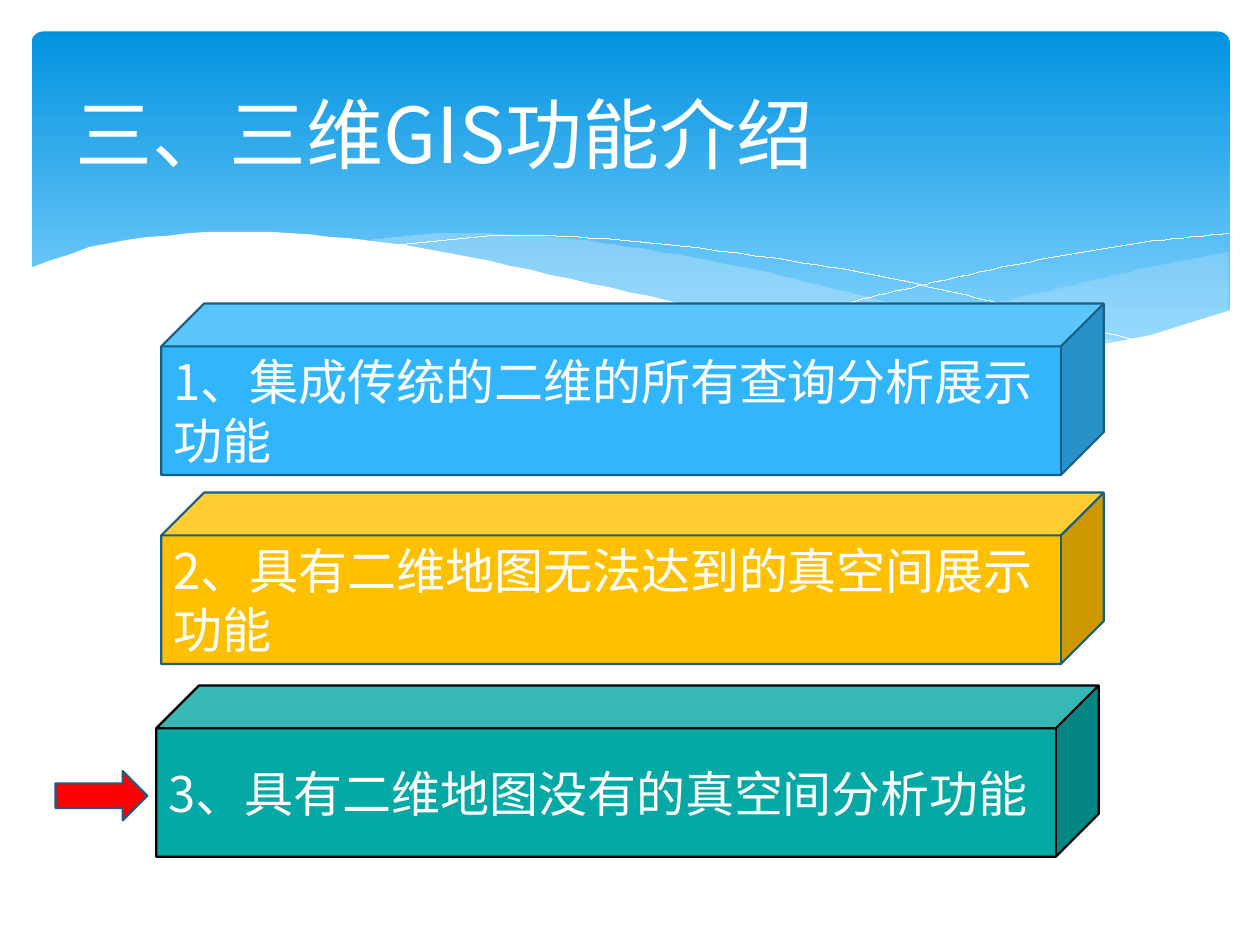
from lxml import etree
from pptx import Presentation
from pptx.dml.color import RGBColor
from pptx.enum.shapes import MSO_SHAPE
from pptx.enum.text import MSO_ANCHOR, MSO_AUTO_SIZE, PP_ALIGN
from pptx.oxml.ns import qn
from pptx.util import Pt

PX = 9144
FONT = "Noto Sans CJK SC"
WHITE = "FFFFFF"
BLACK = "000000"
RED = "FF0000"
DARK_BLUE = "195F84"
PALE_BLUE = "C6E7FC"
ROUNDED = MSO_SHAPE.ROUNDED_RECTANGLE
CUBE = MSO_SHAPE.CUBE
ARROW = MSO_SHAPE.RIGHT_ARROW
MIDDLE = MSO_ANCHOR.MIDDLE
LEFT = PP_ALIGN.LEFT
NO_FIT = MSO_AUTO_SIZE.NONE

CURVE_STEPS = 60
PAGE_EDGE = [(0, 29), (62, 9), (170, 0), (293, 10), (424, 36), (580, 70),
             (703, 88), (800, 93), (876, 85), (954, 62)]
RIGHT_CREST = [(638, 81), (782, 53), (898, 26), (952, 16)]
MIDDLE_CREST = [(263, 7), (338, 1), (442, 7), (575, 30), (683, 56), (752, 70), (870, 87)]
FALLING_LINE = [(286, 11), (378, 3), (487, 8), (642, 29), (772, 57), (884, 88)]
RISING_LINE = [(590, 73), (672, 51), (783, 26), (872, 10), (952, 1)]


def color(hex_value):
    """Turn a hex string into a colour."""
    return RGBColor.from_string(hex_value)


def emu(*lengths):
    """Turn px lengths into EMU."""
    return [length * PX for length in lengths]


def slope_at(knots, index):
    """Return the slope between the neighbours of a knot."""
    before = knots[max(index - 1, 0)]
    after = knots[min(index + 1, len(knots) - 1)]
    return (after[1] - before[1]) / (after[0] - before[0])


def curve_height(knots, x):
    """Return the height at x of the smooth cubic curve through the knots."""
    index = max(i for i, knot in enumerate(knots[:-1]) if knot[0] <= x)
    (x0, y0), (x1, y1) = knots[index:index + 2]
    span = x1 - x0
    t = (x - x0) / span
    bend0 = span * slope_at(knots, index)
    bend1 = span * slope_at(knots, index + 1)
    return (y0 * (1 + 2 * t) * (1 - t) ** 2 + bend0 * t * (1 - t) ** 2
            + y1 * t ** 2 * (3 - 2 * t) - bend1 * t ** 2 * (1 - t))


def trace_curve(knots, start, end):
    """Sample a curve at equal steps from start to end."""
    xs = [start + (end - start) * step / CURVE_STEPS for step in range(CURVE_STEPS + 1)]
    return [(x, curve_height(knots, x)) for x in xs]


def fill_shape(shape, hex_value, opacity=100):
    """Fill a shape with one colour, optionally translucent."""
    shape.fill.solid()
    shape.fill.fore_color.rgb = color(hex_value)
    if opacity < 100:
        rgb = shape.fill._xPr.find(".//" + qn("a:srgbClr"))
        etree.SubElement(rgb, qn("a:alpha")).set("val", str(opacity * 1000))


def outline_shape(shape, hex_value, points):
    """Give a shape a solid outline, where zero points is a hairline."""
    shape.line.color.rgb = color(hex_value)
    shape.line._ln.set("w", str(int(Pt(points))))


def write_text(shape, text, size):
    """Put left-aligned white text into a shape."""
    frame = shape.text_frame
    frame.text = text
    frame.word_wrap = True
    frame.auto_size = NO_FIT
    frame.vertical_anchor = MIDDLE
    paragraph = frame.paragraphs[0]
    paragraph.alignment = LEFT
    font = paragraph.runs[0].font
    font.size = Pt(size)
    font.name = FONT
    font.color.rgb = color(WHITE)
    etree.SubElement(font._rPr, qn("a:ea")).set("typeface", FONT)


def add_preset(slide, kind, box):
    """Add a preset shape without a shadow."""
    shape = slide.shapes.add_shape(kind, *emu(*box))
    shape.shadow.inherit = False
    return shape


def add_outline(slide, box, points, closed):
    """Draw points given relative to the box."""
    builder = slide.shapes.build_freeform(*points[0], scale=PX)
    builder.add_line_segments(points[1:], close=closed)
    shape = builder.convert_to_shape(*emu(*box[:2]))
    shape.shadow.inherit = False
    return shape


def add_area(slide, box, points, hex_value, opacity=100):
    """Add a filled area without an outline."""
    area = add_outline(slide, box, points, True)
    fill_shape(area, hex_value, opacity)
    area.line.fill.background()


def add_panel(slide, box):
    """Add the blue gradient panel behind the title."""
    panel = add_preset(slide, ROUNDED, box)
    panel.adjustments[0] = 0.034
    panel.line.fill.background()
    panel.fill.gradient()
    panel.fill.gradient_angle = 270
    colors = (("0293E0", 0), ("83D3FE", 0.9))
    for stop, (hex_value, position) in zip(panel.fill.gradient_stops, colors):
        stop.color.rgb = color(hex_value)
        stop.position = position


def add_waves(slide, box):
    """Add translucent waves, hairlines and the white page edge."""
    width, height = box[2:]
    for crest, opacity in ((RIGHT_CREST, 29), (MIDDLE_CREST, 40)):
        start, end = crest[0][0], crest[-1][0]
        wave = trace_curve(crest, start, end) + trace_curve(PAGE_EDGE, end, start)
        add_area(slide, box, wave, PALE_BLUE, opacity)
    for knots in (FALLING_LINE, RISING_LINE):
        points = trace_curve(knots, knots[0][0], knots[-1][0])
        hairline = add_outline(slide, box, points, False)
        hairline.fill.background()
        outline_shape(hairline, WHITE, 0)
    page = trace_curve(PAGE_EDGE, 0, width) + [(width, height), (0, height)]
    add_area(slide, box, page, WHITE)


def add_title(slide, box, text):
    """Place the title in front of the panel."""
    title = slide.shapes.title
    title.left, title.top, title.width, title.height = emu(*box)
    write_text(title, text, 44)
    slide.shapes._spTree.append(title._element)


def add_feature(slide, box, text, fill, line):
    """Add one feature block."""
    cube = add_preset(slide, CUBE, box)
    fill_shape(cube, fill)
    outline_shape(cube, line, 1.25)
    write_text(cube, text, 28)


def add_marker(slide, box):
    """Add the red arrow pointing at a feature."""
    arrow = add_preset(slide, ARROW, box)
    fill_shape(arrow, RED)
    outline_shape(arrow, DARK_BLUE, 1.25)


def main():
    """Build and save the slide."""
    presentation = Presentation()
    presentation.slide_width, presentation.slide_height = emu(1000, 750)
    slide = presentation.slides.add_slide(presentation.slide_layouts[5])
    add_panel(slide, (25, 25, 951, 270))
    add_waves(slide, (23, 184, 954, 145))
    add_title(slide, (50, 37, 900, 137), "三、三维GIS功能介绍")
    features = (
        (128, 241, "1、集成传统的二维的所有查询分析展示功能", "31B6FD", DARK_BLUE),
        (128, 391, "2、具有二维地图无法达到的真空间展示功能", "FFC000", DARK_BLUE),
        (124, 544, "3、具有二维地图没有的真空间分析功能", "04A8A4", BLACK),
    )
    for left, top, text, fill, line in features:
        add_feature(slide, (left, top, 748, 136), text, fill, line)
    add_marker(slide, (44, 612, 73, 39))
    presentation.save("out.pptx")


if __name__ == "__main__":
    main()
